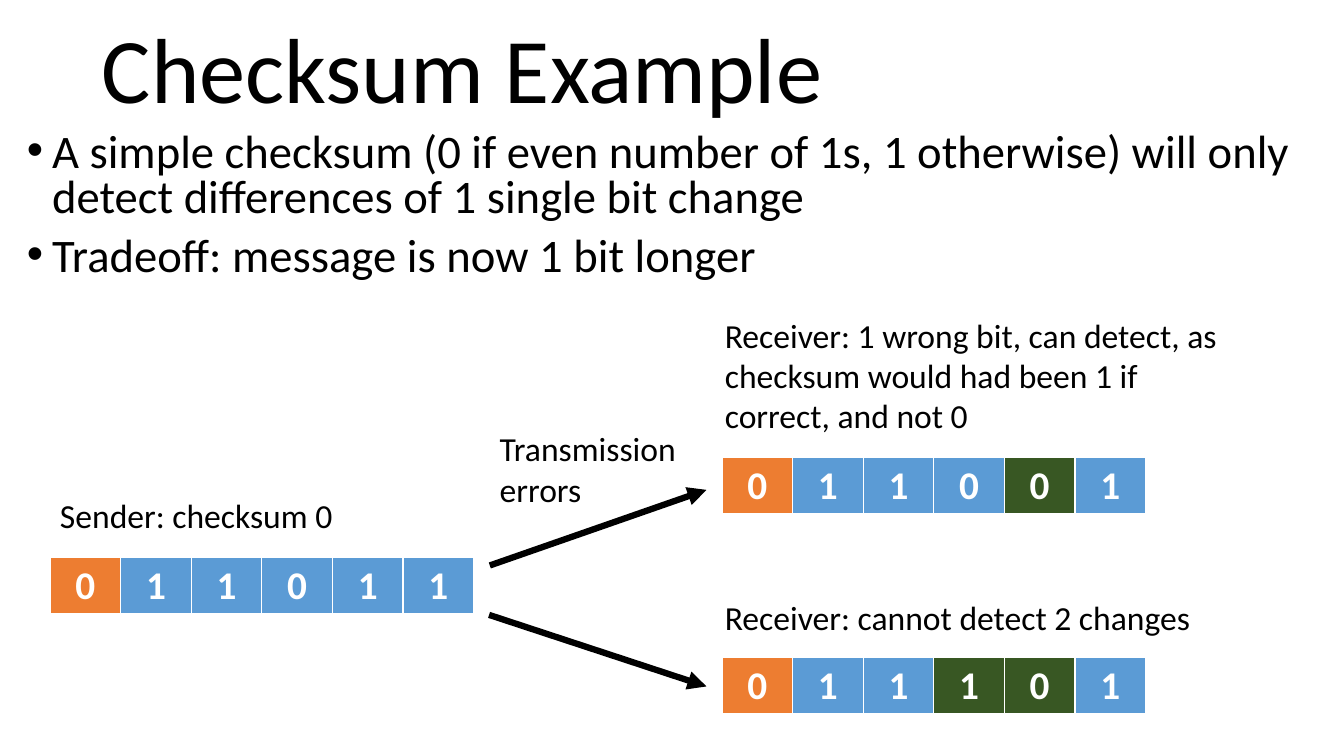
from dataclasses import dataclass

from lxml.etree import SubElement
from pptx import Presentation
from pptx.dml.color import RGBColor
from pptx.enum.shapes import MSO_CONNECTOR
from pptx.enum.text import MSO_ANCHOR, MSO_AUTO_SIZE, PP_ALIGN
from pptx.oxml.ns import qn
from pptx.util import Inches, Pt

COLUMN = Inches(0.7)
ROW = Inches(0.5)


@dataclass(frozen=True)
class Theme:
    font: str = "Calibri"
    ink: str = "000000"
    paper: str = "FFFFFF"
    checksum: str = "ED7D31"
    data: str = "5B9BD5"
    flipped: str = "385723"
    title: float = 66
    body: float = 33.3
    caption: float = 24
    bit: float = 28
    arrow: float = 4.5


@dataclass(frozen=True)
class Box:
    column: float
    row: float
    columns: float
    rows: float

    def within(self, outer):
        return Box(outer.column + self.column, outer.row + self.row, self.columns, self.rows)

    def lengths(self):
        return (
            round(self.column * COLUMN),
            round(self.row * ROW),
            round(self.columns * COLUMN),
            round(self.rows * ROW),
        )


THEME = Theme()
SENT = "011011"


def apply(target, values):
    for attribute, value in values.items():
        setattr(target, attribute, value)


def style(paragraph, size, color=THEME.ink, **paragraph_format):
    apply(paragraph, paragraph_format)
    apply(paragraph.font, {"name": THEME.font, "size": Pt(size)})
    paragraph.font.color.rgb = RGBColor.from_string(color)


def add_title(slide, box, wording):
    title = slide.shapes.title
    apply(title, dict(zip(("left", "top", "width", "height"), box.lengths())))
    title.text_frame.text = wording
    apply(title.text_frame, {
        "word_wrap": True,
        "auto_size": MSO_AUTO_SIZE.NONE,
        "vertical_anchor": MSO_ANCHOR.MIDDLE,
    })
    style(title.text_frame.paragraphs[0], THEME.title, alignment=PP_ALIGN.LEFT, line_spacing=0.9)


def add_points(slide, box, points):
    frame = slide.shapes.add_textbox(*box.lengths()).text_frame
    frame.word_wrap = True
    frame.text = "\n".join(points)
    for position, paragraph in enumerate(frame.paragraphs):
        properties = paragraph._p.get_or_add_pPr()
        properties.set("marL", str(Inches(0.25)))
        properties.set("indent", str(-Inches(0.25)))
        SubElement(properties, qn("a:buFont"), typeface="Arial")
        SubElement(properties, qn("a:buChar"), char="•")
        style(paragraph, THEME.body, line_spacing=0.8, space_before=Pt(10 if position else 0))


def add_caption(slide, box, wording, wrap=True):
    frame = slide.shapes.add_textbox(*box.lengths()).text_frame
    frame.word_wrap = wrap
    frame.text = wording
    style(frame.paragraphs[0], THEME.caption)


def add_borders(cell):
    properties = cell._tc.get_or_add_tcPr()
    for side, width in {"lnL": 1, "lnR": 1, "lnT": 1, "lnB": 3}.items():
        border = SubElement(properties, qn(f"a:{side}"), w=str(Pt(width)))
        fill = SubElement(border, qn("a:solidFill"))
        SubElement(fill, qn("a:srgbClr"), val=THEME.paper)


def add_bits(slide, box, bits):
    table = slide.shapes.add_table(1, len(bits), *box.lengths()).table
    apply(table, {"first_row": False, "horz_banding": False})
    for position, (bit, sent) in enumerate(zip(bits, SENT)):
        cell = table.cell(0, position)
        add_borders(cell)
        color = THEME.flipped if bit != sent else THEME.data if position else THEME.checksum
        cell.fill.solid()
        cell.fill.fore_color.rgb = RGBColor.from_string(color)
        cell.text = bit
        paragraph = cell.text_frame.paragraphs[0]
        style(paragraph, THEME.bit, THEME.paper, alignment=PP_ALIGN.CENTER)
        paragraph.font.bold = True


def add_message(slide, box, bits, caption, caption_box, wrap=False):
    add_bits(slide, box, bits)
    add_caption(slide, caption_box.within(box), caption, wrap)


def add_arrow(slide, box):
    left, top, width, height = box.lengths()
    arrow = slide.shapes.add_connector(
        MSO_CONNECTOR.STRAIGHT, left, top, left + width, top + height
    )
    arrow.line.width = Pt(THEME.arrow)
    arrow.line.color.rgb = RGBColor.from_string(THEME.ink)
    SubElement(arrow.line._get_or_add_ln(), qn("a:tailEnd"), type="triangle")
    SubElement(arrow._element.spPr, qn("a:effectLst"))


def add_transmission(slide, box):
    add_caption(slide, Box(0, 0, 2.84, 1.82).within(box), "Transmission errors")
    for path_box in (Box(0, 2.82, 3.07, -1.5), Box(-0.01, 3.8, 3.08, 1.42)):
        add_arrow(slide, path_box.within(box))


def build_checksum_slide(presentation):
    slide = presentation.slides.add_slide(presentation.slide_layouts[5])
    add_title(slide, Box(1.3, 0, 16.43, 2.9), "Checksum Example")
    add_points(slide, Box(0.24, 2.54, 18.24, 3.26), (
        "A simple checksum (0 if even number of 1s, 1 otherwise) will only "
        "detect differences of 1 single bit change",
        "Tradeoff: message is now 1 bit longer",
    ))
    add_message(slide, Box(0.71, 11.06, 6, 1.14), SENT,
                "Sender: checksum 0", Box(0, -1.34, 4.19, 1))
    add_message(slide, Box(10.23, 9.08, 6, 1.14), "011001",
                "Receiver: 1 wrong bit, can detect, as checksum would had been 1 if "
                "correct, and not 0", Box(-0.1, -2.94, 7.33, 2.62), wrap=True)
    add_message(slide, Box(10.23, 13.04, 6, 1.14), "011101",
                "Receiver: cannot detect 2 changes", Box(-0.1, -1.3, 6.94, 1))
    add_transmission(slide, Box(6.94, 8.4, 3.07, 5.22))


def main():
    presentation = Presentation()
    apply(presentation, {"slide_width": Inches(13.33), "slide_height": Inches(7.5)})
    build_checksum_slide(presentation)
    presentation.save("out.pptx")


if __name__ == "__main__":
    main()
